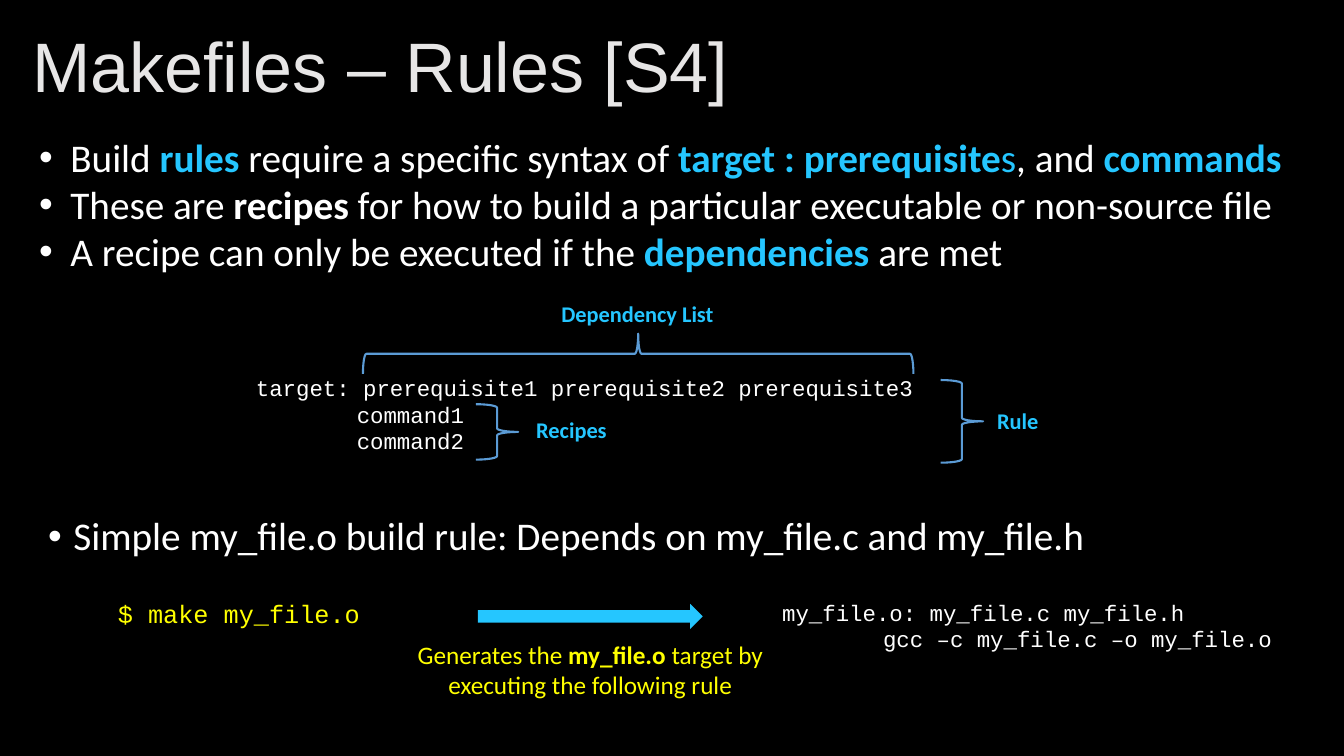
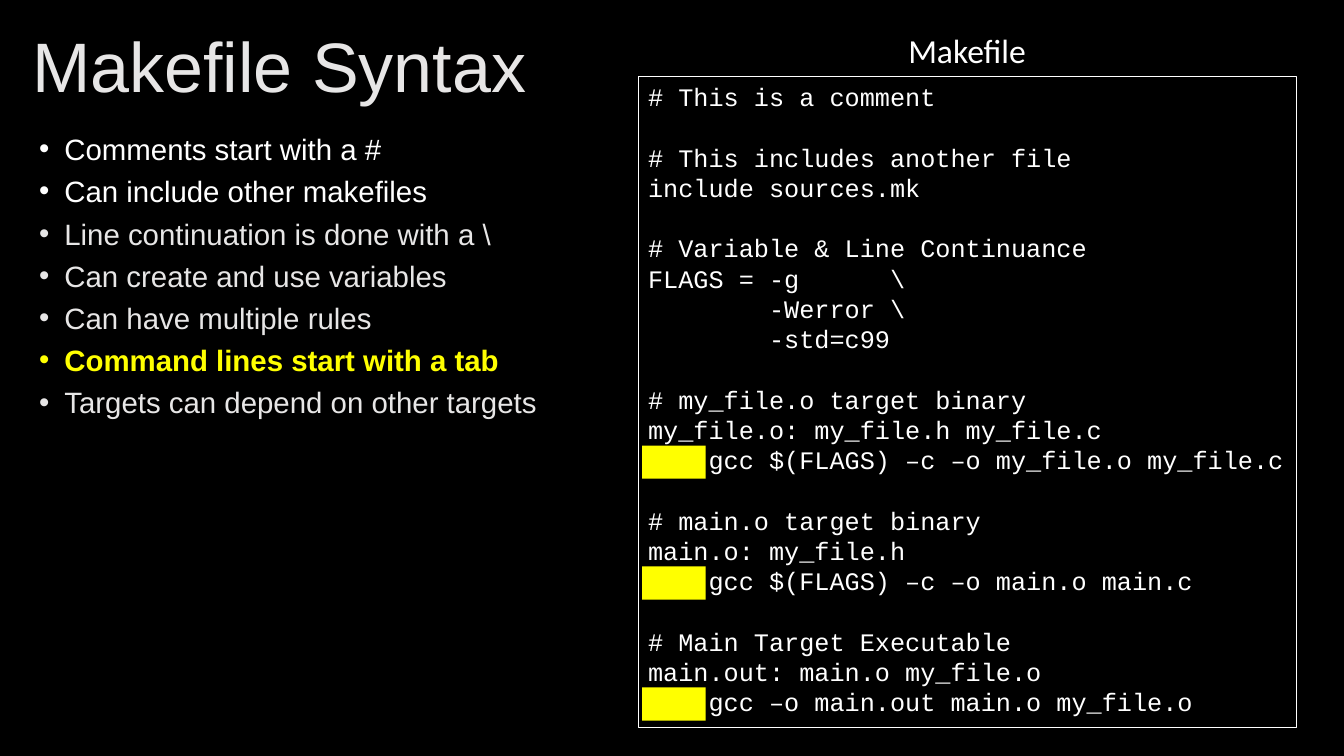
from dataclasses import dataclass, field
from typing import Any, NamedTuple, Optional

from lxml.etree import SubElement
from pptx import Presentation
from pptx.dml.color import RGBColor
from pptx.enum.shapes import MSO_SHAPE as Preset
from pptx.enum.text import MSO_ANCHOR as Anchor, PP_ALIGN as Align
from pptx.oxml.ns import qn
from pptx.shapes.autoshape import Shape
from pptx.slide import Slide
from pptx.util import Inches, Pt


@dataclass(frozen=True)
class Theme:
    background: str = "000000"
    title: str = "E7E6E6"
    text: str = "FFFFFF"
    accent: str = "25C6FF"
    alert: str = "FFFF00"
    brace: str = "5B9BD5"
    title_font: str = "Arial"
    body_font: str = "Calibri"
    code_font: str = "Courier New"
    title_size: float = 50
    body_size: float = 28
    caption_size: float = 24
    list_size: float = 21
    note_size: float = 18
    label_size: float = 16
    code_leading: float = 1.2
    outline: float = 0.75
    brace_line: float = 1.5


THEME = Theme()


class Box(NamedTuple):
    left: float
    top: float
    width: float
    height: float


class Run(NamedTuple):
    text: str
    color: Optional[str] = None
    bold: bool = False


@dataclass(frozen=True)
class Style:
    font: str
    size: float
    color: str = THEME.text
    bold: bool = False
    bullet: float = 0
    wrap: bool = True
    anchor: Anchor = Anchor.TOP
    paragraph: dict[str, Any] = field(default_factory=dict)


@dataclass(frozen=True)
class Line:
    runs: tuple[Run, ...]
    indent: float = 0
    tab: float = 0
    gap: float = 0


@dataclass(frozen=True)
class Brace:
    box: Box
    label: str
    label_box: Box
    rotation: float = 0


def code_style(size: float, color: str = THEME.text) -> Style:
    leading = Pt(size * THEME.code_leading)
    return Style(THEME.code_font, size, color, paragraph={"line_spacing": leading})


TITLE = Style(THEME.title_font, THEME.title_size, THEME.title,
              anchor=Anchor.MIDDLE, paragraph={"line_spacing": 0.9})
BODY = Style(THEME.body_font, THEME.body_size, bullet=0.31)
EXAMPLE = Style(THEME.body_font, THEME.body_size, bullet=0.25,
                paragraph={"line_spacing": 0.9, "space_before": Pt(10)})
SYNTAX = Style(THEME.title_font, THEME.list_size, bullet=0.25,
               paragraph={"line_spacing": 0.8, "space_before": Pt(10)})
LABEL = Style(THEME.body_font, THEME.label_size, THEME.accent, bold=True, wrap=False)
CAPTION = Style(THEME.body_font, THEME.caption_size, wrap=False)
NOTE = Style(THEME.body_font, THEME.note_size, THEME.alert,
             paragraph={"alignment": Align.CENTER})
RULE_CODE = code_style(THEME.label_size)
COMMAND = code_style(THEME.note_size, THEME.alert)
FILE_CODE = code_style(THEME.note_size)

TITLE_BOX = Box(0.22, 0.21, 12.89, 0.97)

RULE_POINTS = (
    Line((Run("Build "), Run("rules ", THEME.accent, True),
          Run("require a specific syntax of "),
          Run("target : prerequisite", THEME.accent, True),
          Run("s", THEME.accent), Run(", and "),
          Run("commands", THEME.accent, True))),
    Line((Run("These are "), Run("recipes", bold=True),
          Run(" for how to build a particular executable or non-source file"))),
    Line((Run("A recipe can only be executed if the "),
          Run("dependencies ", THEME.accent, True), Run("are met"))),
)

BRACES = (
    Brace(Box(6.13, 0.78, 0.4, 5.46), "Dependency List", Box(5.47, 2.93, 1.73, 0.37), 270),
    Brace(Box(4.72, 4.01, 0.42, 0.55), "Recipes", Box(5.22, 4.08, 0.99, 0.37)),
    Brace(Box(9.33, 3.77, 0.42, 0.82), "Rule", Box(9.79, 3.99, 0.62, 0.37)),
)

SYNTAX_POINTS = (
    Run("Comments start with a #"),
    Run("Can include other makefiles"),
    Run("Line continuation is done with a \\", THEME.title),
    Run("Can create and use variables", THEME.title),
    Run("Can have multiple rules", THEME.title),
    Run("Command lines start with a tab", THEME.alert, True),
    Run("Targets can depend on other targets", THEME.title),
)

COMMAND_INDENT = 0.6
FLAG_INDENT = 1.2
CONTINUATION_TAB = 2.4


def plain(text: str, **layout: float) -> Line:
    return Line((Run(text),), **layout)


MAKEFILE_BLOCKS = (
    (plain("# This is a comment"),),
    (plain("# This includes another file"), plain("include sources.mk")),
    (plain("# Variable & Line Continuance"),
     plain("FLAGS = -g\t\\", tab=CONTINUATION_TAB),
     plain("-Werror \\", indent=FLAG_INDENT),
     plain("-std=c99", indent=FLAG_INDENT)),
    (plain("# my_file.o target binary"),
     plain("my_file.o: my_file.h my_file.c"),
     plain("gcc $(FLAGS) –c –o my_file.o my_file.c", indent=COMMAND_INDENT)),
    (plain("# main.o target binary"),
     plain("main.o: my_file.h"),
     plain("gcc $(FLAGS) –c –o main.o main.c", indent=COMMAND_INDENT)),
    (plain("# Main Target Executable"),
     plain("main.out: main.o my_file.o"),
     plain("gcc –o main.out main.o my_file.o", indent=COMMAND_INDENT)),
)


def apply(target: Any, values: dict[str, Any]) -> None:
    for name, value in values.items():
        setattr(target, name, value)


def place(box: Box) -> tuple[int, ...]:
    return tuple(Inches(length) for length in box)


def format_paragraph(paragraph: Any, line: Line, style: Style) -> None:
    apply(paragraph, style.paragraph)
    if line.gap:
        paragraph.space_before = Pt(line.gap)
    properties = paragraph._p.get_or_add_pPr()
    margin = style.bullet or line.indent
    if margin:
        properties.set("marL", str(Inches(margin)))
        properties.set("indent", str(-Inches(style.bullet)))
    if style.bullet:
        SubElement(properties, qn("a:buFont"), typeface="Arial")
        SubElement(properties, qn("a:buChar"), char="•")
    if line.tab:
        tabs = SubElement(properties, qn("a:tabLst"))
        SubElement(tabs, qn("a:tab"), pos=str(Inches(line.tab)), algn="l")


def write(shape: Shape, lines: tuple[Line, ...], style: Style) -> None:
    frame = shape.text_frame
    apply(frame, {"word_wrap": style.wrap, "vertical_anchor": style.anchor})
    for index, line in enumerate(lines):
        paragraph = frame.add_paragraph() if index else frame.paragraphs[0]
        paragraph.alignment = Align.LEFT
        format_paragraph(paragraph, line, style)
        for content in line.runs:
            run = paragraph.add_run()
            run.text = content.text
            apply(run.font, {"name": style.font, "size": Pt(style.size),
                             "bold": style.bold or content.bold})
            run.font.color.rgb = RGBColor.from_string(content.color or style.color)


def add_text(slide: Slide, box: Box, style: Style, *lines: Line) -> None:
    write(slide.shapes.add_textbox(*place(box)), lines, style)


def add_preset(slide: Slide, preset: Preset, box: Box, fill: Optional[str] = None,
               line: Optional[str] = None, weight: float = 0) -> Shape:
    shape = slide.shapes.add_shape(preset, *place(box))
    shape.shadow.inherit = False
    if fill:
        shape.fill.solid()
        shape.fill.fore_color.rgb = RGBColor.from_string(fill)
    else:
        shape.fill.background()
    if line:
        shape.line.color.rgb = RGBColor.from_string(line)
        shape.line.width = Pt(weight)
    else:
        shape.line.fill.background()
    return shape


def add_slide(presentation: Any, title: str) -> Slide:
    slide = presentation.slides.add_slide(presentation.slide_layouts[6])
    slide.background.fill.solid()
    slide.background.fill.fore_color.rgb = RGBColor.from_string(THEME.background)
    add_text(slide, TITLE_BOX, TITLE, plain(title))
    return slide


def add_brace(slide: Slide, brace: Brace) -> None:
    shape = add_preset(slide, Preset.RIGHT_BRACE, brace.box,
                       line=THEME.brace, weight=THEME.brace_line)
    shape.rotation = brace.rotation
    add_text(slide, brace.label_box, LABEL, plain(brace.label))


def build_rules(presentation: Any) -> None:
    slide = add_slide(presentation, "Makefiles – Rules [S4]")
    add_text(slide, Box(0.29, 1.27, 12.72, 1.83), BODY, *RULE_POINTS)
    for brace in BRACES:
        add_brace(slide, brace)
    add_text(slide, Box(2.44, 3.66, 6.82, 0.91), RULE_CODE,
             plain("target: prerequisite1 prerequisite2 prerequisite3"),
             plain("command1", indent=1), plain("command2", indent=1))
    add_text(slide, Box(0.38, 5.08, 11.5, 0.59), EXAMPLE,
             plain("Simple my_file.o build rule: Depends on my_file.c and my_file.h"))
    add_text(slide, Box(1.07, 5.89, 2.61, 0.4), COMMAND, plain("$ make my_file.o"))
    add_preset(slide, Preset.RIGHT_ARROW, Box(4.74, 5.99, 2.23, 0.25), fill=THEME.accent)
    add_text(slide, Box(3.69, 6.29, 4.33, 0.71), NOTE,
             Line((Run("Generates the "), Run("my_file.o", bold=True),
                   Run(" target by executing the following rule"))))
    add_text(slide, Box(7.66, 5.89, 5.13, 0.64), RULE_CODE,
             plain("my_file.o: my_file.c my_file.h"),
             plain("gcc –c my_file.c –o my_file.o", indent=1))


def build_syntax(presentation: Any) -> None:
    slide = add_slide(presentation, "Makefile Syntax")
    add_text(slide, Box(0.29, 1.32, 5.23, 3.38), SYNTAX,
             *(Line((point,)) for point in SYNTAX_POINTS))
    add_text(slide, Box(8.91, 0.25, 1.38, 0.5), CAPTION, plain("Makefile"))
    listing = add_preset(slide, Preset.RECTANGLE, Box(6.33, 0.76, 6.53, 6.46),
                         line=THEME.text, weight=THEME.outline)
    blank_line = THEME.note_size * THEME.code_leading
    lines = tuple(
        Line(line.runs, line.indent, line.tab,
             blank_line if block_index and not line_index else 0)
        for block_index, block in enumerate(MAKEFILE_BLOCKS)
        for line_index, line in enumerate(block))
    write(listing, lines, FILE_CODE)
    for index in range(3):
        add_preset(slide, Preset.RECTANGLE, Box(6.37, 4.42 + 1.2 * index, 0.63, 0.33),
                   fill=THEME.alert)


def main() -> None:
    presentation = Presentation()
    apply(presentation, {"slide_width": Inches(13.33), "slide_height": Inches(7.5)})
    build_rules(presentation)
    build_syntax(presentation)
    presentation.save("out.pptx")


if __name__ == "__main__":
    main()
